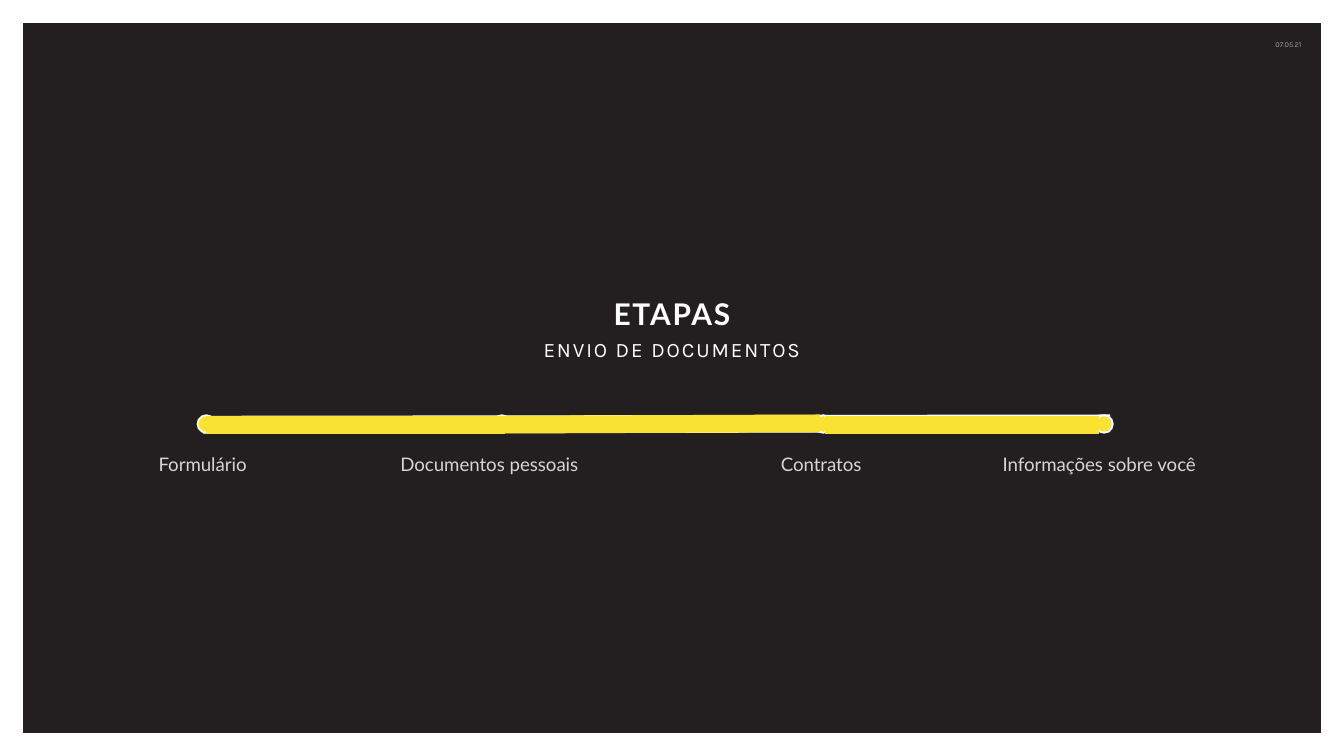
"""Build the slide with the four steps for sending documents."""
from lxml.etree import SubElement
from pptx import Presentation
from pptx.dml.color import RGBColor
from pptx.enum.shapes import MSO_CONNECTOR, MSO_SHAPE
from pptx.enum.text import MSO_ANCHOR, PP_ALIGN
from pptx.oxml.ns import qn
from pptx.util import Inches, Pt

DARK = RGBColor(0x23, 0x1F, 0x20)
WHITE = RGBColor(0xFF, 0xFF, 0xFF)
TRACK = RGBColor(0xFF, 0xFF, 0xFE)
RING = RGBColor(0xFB, 0xFA, 0xFC)
YELLOW = RGBColor(0xFA, 0xE2, 0x32)
LABEL = RGBColor(0xD6, 0xD5, 0xD5)
MUTED = RGBColor(0xA1, 0x9F, 0x9F)

WIDTH = 10
HEIGHT = WIDTH * 9 / 16
DATE = "07.05.21"
HEADING = [("ETAPAS", 16, "Lato", True), ("ENVIO DE DOCUMENTOS", 11, "Karla", False)]
STEPS = [
    ("Formulário", 1.15, 0.74, 1.47),
    ("Documentos pessoais", 2.95, 1.44, 3.67),
    ("Contratos", 5.78, 0.7, 6.06),
    ("Informações sobre você", 7.43, 1.57, 8.15),
]
TRACK_LINE = (1.51, 3.16, 8.26, 3.15)
PROGRESS = [(1.53, 3.16, 3.76, 3.16), (3.68, 3.16, 6.1, 3.15), (6.14, 3.16, 8.18, 3.16)]
DOT_TOP, DOT_SIZE = 3.09, 0.13
LABEL_TOP, LABEL_HEIGHT, LABEL_INSET = 3.34, 0.23, 0.03


def add_box(page, left, top, width, height, wrap=True):
    box = page.shapes.add_textbox(*map(Inches, (left, top, width, height)))
    box.text_frame.word_wrap = wrap
    return box.text_frame


def add_span(para, text, size, font, color, bold=False):
    span = para.add_run()
    span.text = text
    span.font.size = Pt(size)
    span.font.name = font
    span.font.bold = bold
    span.font.color.rgb = color
    return span


def add_line(shapes, ends, color):
    line = shapes.add_connector(MSO_CONNECTOR.STRAIGHT, *map(Inches, ends))
    line.line.color.rgb = color
    line.line.width = Pt(9.5)
    SubElement(line.element.spPr, qn("a:effectLst"))


def add_outlined(shapes, kind, bounds, color, weight):
    shape = shapes.add_shape(kind, *map(Inches, bounds))
    shape.shadow.inherit = False
    shape.line.color.rgb = color
    shape.line.width = Pt(weight)
    return shape


def add_label(page, text, left, width):
    frame = add_box(page, left, LABEL_TOP, width, LABEL_HEIGHT, wrap=False)
    frame.vertical_anchor = MSO_ANCHOR.MIDDLE
    frame.margin_left = frame.margin_right = Inches(LABEL_INSET)
    frame.margin_top = frame.margin_bottom = Inches(LABEL_INSET)
    add_span(frame.paragraphs[0], text, 10, "Lato", LABEL)


def add_timeline(page):
    group = page.shapes.add_group_shape()
    add_line(group.shapes, TRACK_LINE, TRACK)
    for _, _, _, dot_left in STEPS:
        bounds = (dot_left, DOT_TOP, DOT_SIZE, DOT_SIZE)
        dot = add_outlined(group.shapes, MSO_SHAPE.OVAL, bounds, RING, 1)
        dot.fill.solid()
        dot.fill.fore_color.rgb = YELLOW
    for ends in PROGRESS:
        add_line(page.shapes, ends, YELLOW)


def add_heading(page):
    frame = add_box(page, 2.77, 2.19, 4.46, 0.53)
    for index, (text, size, font, bold) in enumerate(HEADING):
        para = frame.add_paragraph() if index else frame.paragraphs[0]
        para.alignment = PP_ALIGN.CENTER
        para.line_spacing = Pt(16.2)
        span = add_span(para, text, size, font, WHITE, bold)
        span.font._element.set("spc", "100")


def main():
    deck = Presentation()
    deck.slide_width, deck.slide_height = Inches(WIDTH), Inches(HEIGHT)
    page = deck.slides.add_slide(deck.slide_layouts[6])
    page.background.fill.solid()
    page.background.fill.fore_color.rgb = DARK

    border = add_outlined(page.shapes, MSO_SHAPE.RECTANGLE, (0, 0, WIDTH, HEIGHT), WHITE, 25)
    border.fill.background()

    date = add_box(page, 9.06, 0.25, 0.72, 0.17).paragraphs[0]
    date.alignment = PP_ALIGN.RIGHT
    add_span(date, DATE, 4, "Karla", MUTED)

    for text, left, width, _ in STEPS:
        add_label(page, text, left, width)
    add_timeline(page)
    add_heading(page)
    deck.save("out.pptx")


if __name__ == "__main__":
    main()
